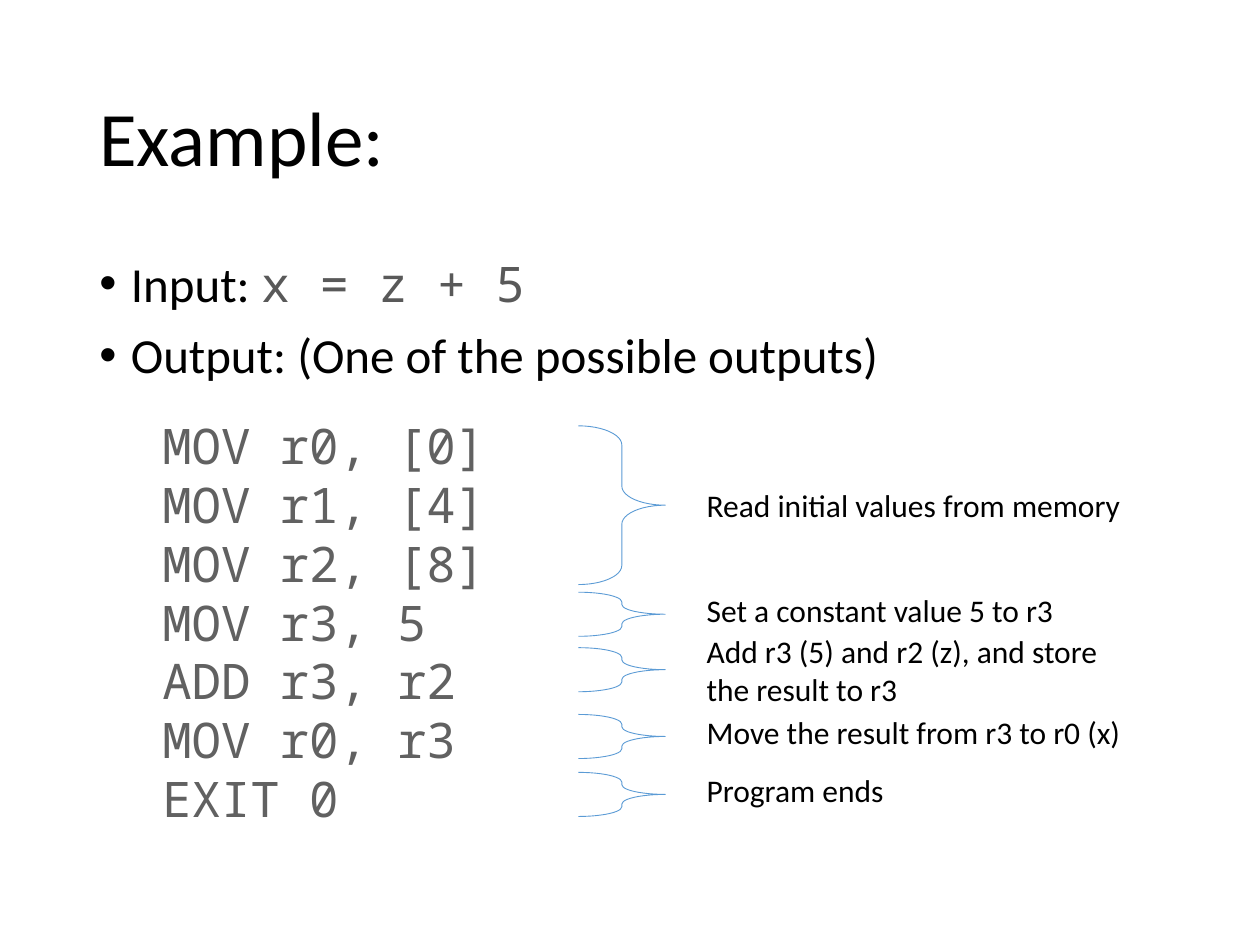
import pptx
import pptx.util
import pptx.dml.color
import pptx.enum.shapes
import pptx.enum.text
import lxml.etree

Inches, Pt = pptx.util.Inches, pptx.util.Pt
ANCHOR = pptx.enum.text.MSO_ANCHOR
BRACE = pptx.enum.shapes.MSO_SHAPE.RIGHT_BRACE
SANS, MONO = "Calibri", "Noto Sans Mono"

# Content
TITLE = "Example: "
BULLETS = [
    [("Input: ", SANS, "000000"), ("x = z + 5", MONO, "595959")],
    [("Output: (One of the possible outputs)", SANS, "000000")],
]
CODE = ["MOV r0, [0]", "MOV r1, [4]", "MOV r2, [8]", "MOV r3, 5",
        "ADD r3, r2", "MOV r0, r3", "EXIT 0"]
# Brace top, brace height, note top, note width, note height, note
NOTES = [
    (3.38, 1.26, 3.81, 3.52, 0.4, "Read initial values from memory"),
    (4.70, 0.35, 4.64, 2.99, 0.4, "Set a constant value 5 to r3"),
    (5.14, 0.35, 4.97, 3.40, 0.71, "Add r3 (5) and r2 (z), and store \vthe result to r3"),
    (5.67, 0.35, 5.61, 3.52, 0.4, "Move the result from r3 to r0 (x)"),
    (6.13, 0.35, 6.07, 1.62, 0.4, "Program ends"),
]
LEFT, BRACE_LEFT, NOTE_LEFT = 0.69, 4.59, 5.51


def rgb(color):
    return pptx.dml.color.RGBColor.from_string(color)


def style(r, font, size, color):
    r.font.name, r.font.size, r.font.color.rgb = font, Pt(size), rgb(color)


def add_text(x, y, w, h, text="", font=SANS, size=18, color="000000", wrap=True):
    sp = slide.shapes.add_textbox(Inches(x), Inches(y), Inches(w), Inches(h))
    tf = sp.text_frame
    tf.word_wrap = wrap
    tf.text = text
    for p in tf.paragraphs:
        for r in p.runs:
            style(r, font, size, color)
    return tf


def indent(p, margin, first=0, bullet=None):
    pPr = p._p.get_or_add_pPr()
    pPr.set("marL", str(Inches(margin)))
    pPr.set("indent", str(Inches(first)))
    if bullet:
        ns = pptx.oxml.ns.qn
        lxml.etree.SubElement(pPr, ns("a:buFont")).set("typeface", "Arial")
        lxml.etree.SubElement(pPr, ns("a:buChar")).set("char", bullet)


prs = pptx.Presentation()
prs.slide_width, prs.slide_height = Inches(10), Inches(7.5)
slide = prs.slides.add_slide(prs.slide_layouts[6])

# Title
tf = add_text(LEFT, 0.4, 8.62, 1.45, TITLE, size=44)
tf.vertical_anchor = ANCHOR.MIDDLE
tf.paragraphs[0].line_spacing = 0.9

# Bullets
tf = add_text(LEFT, 2, 8.62, 4.76)
for i, runs in enumerate(BULLETS):
    p = tf.add_paragraph() if i else tf.paragraphs[0]
    p.line_spacing, p.space_before = Pt(30.8), Pt(10)
    indent(p, 0.25, -0.25, "\u2022")
    for text, font, color in runs:
        r = p.add_run()
        r.text = text
        style(r, font, 28, color)

# Code listing
tf = add_text(LEFT, 3.21, 3.68, 3.4, "\n".join(CODE), MONO, 28, "616161")
tf.margin_top = Inches(0.09)
for p in tf.paragraphs:
    p.line_spacing = Pt(33.6)
    indent(p, 0.5)

# Braces with their notes
for brace_top, brace_height, top, width, height, note in NOTES:
    sp = slide.shapes.add_shape(BRACE, Inches(BRACE_LEFT), Inches(brace_top),
                                Inches(0.69), Inches(brace_height))
    sp.adjustments[0], sp.adjustments[1] = 0.22, 0.5
    sp.shadow.inherit = False
    sp.fill.background()
    sp.line.color.rgb, sp.line.width = rgb("5B9BD5"), Pt(0.5)
    add_text(NOTE_LEFT, top, width, height, note, wrap=False)

prs.save("out.pptx")
